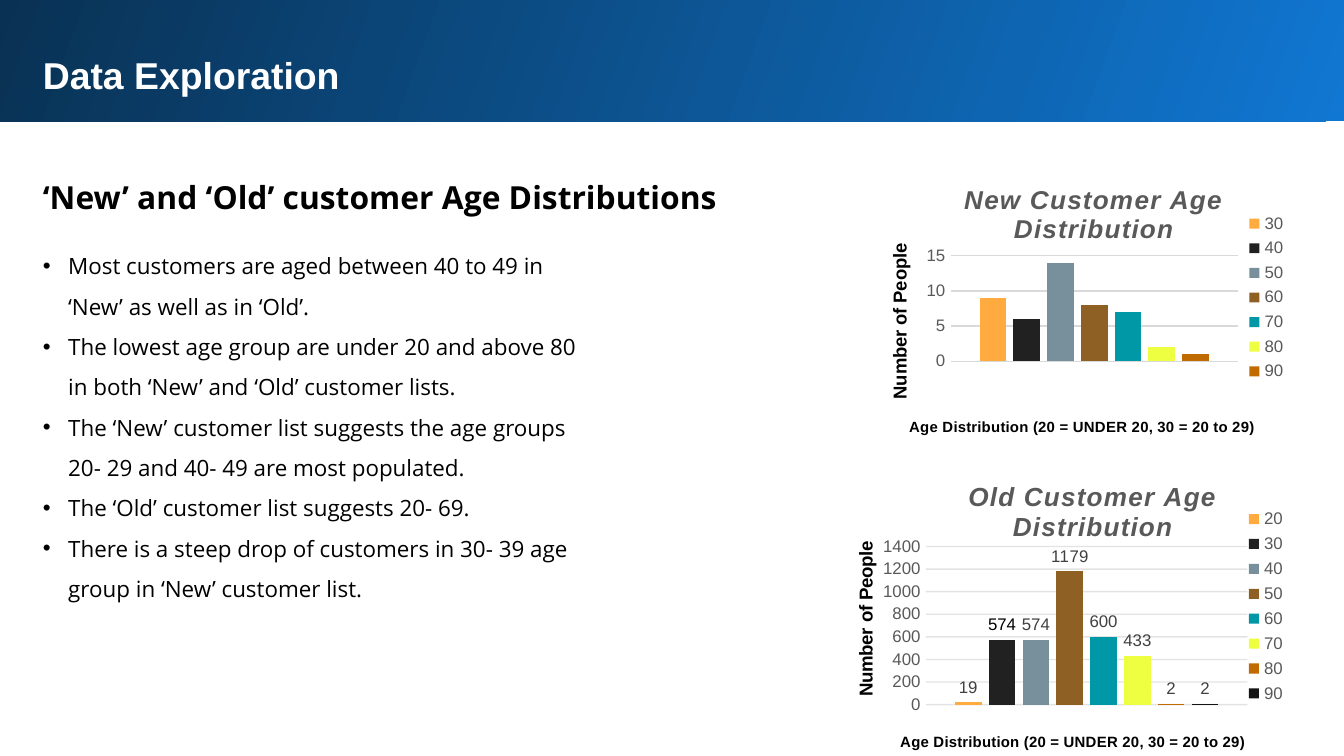
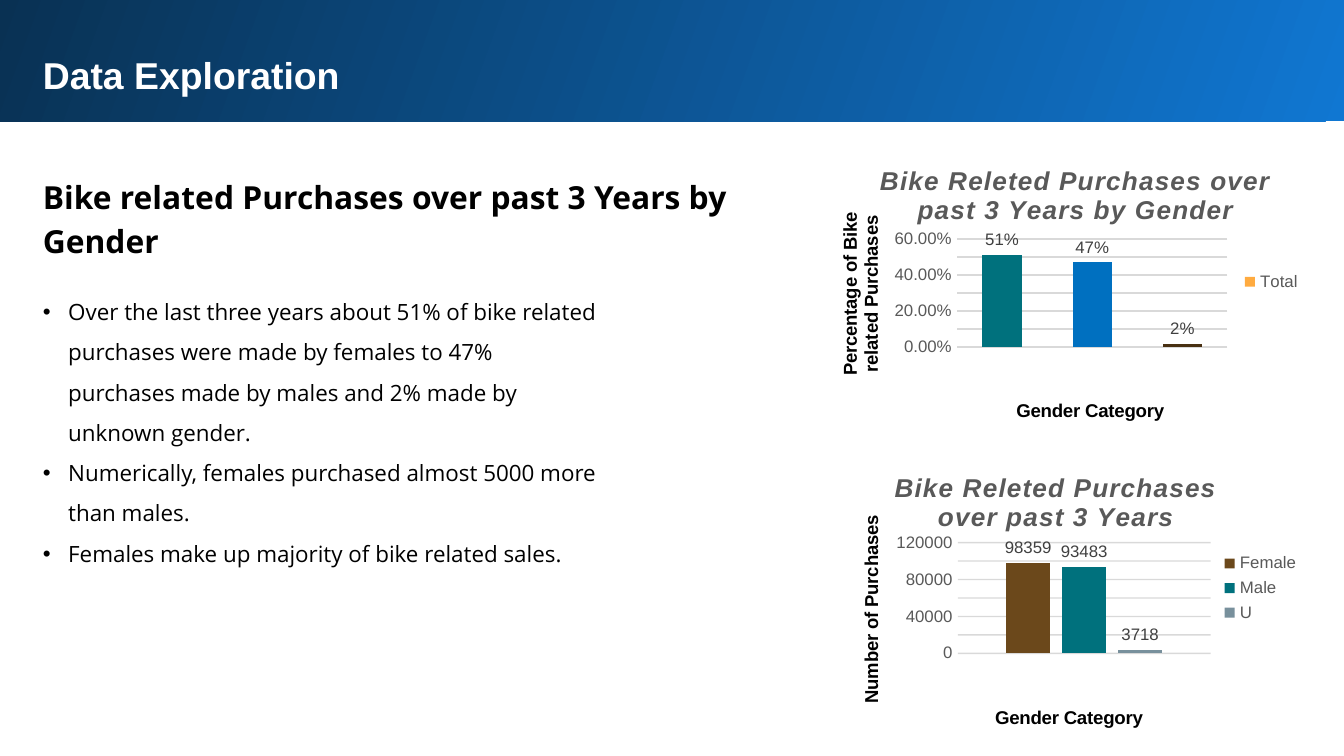
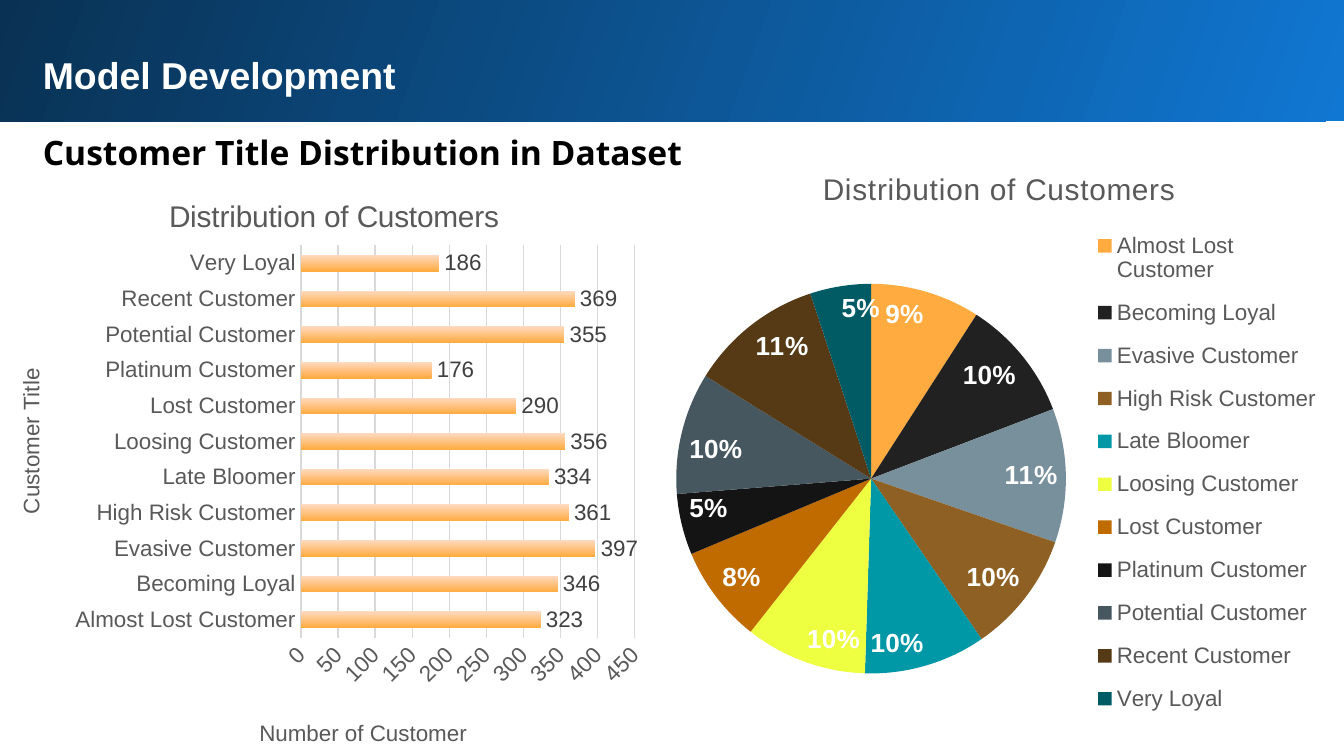
from lxml import etree
from pptx import Presentation
from pptx.chart.data import CategoryChartData
from pptx.dml.color import RGBColor
from pptx.enum import chart as ch, shapes, text
from pptx.oxml import ns
from pptx.util import Cm, Pt

WHITE = RGBColor(0xFF, 0xFF, 0xFF)
BLACK = RGBColor(0, 0, 0)
BAND_BLUE = RGBColor(0x10, 0x77, 0xD2)
BAND_NAVY = RGBColor(0x09, 0x31, 0x53)
GREY = RGBColor(0x59, 0x59, 0x59)
LABEL_GREY = RGBColor(0x40, 0x40, 0x40)
GRID_GREY = RGBColor(0xD9, 0xD9, 0xD9)
ORANGE = RGBColor(0xFF, 0xAB, 0x40)
PEACH = RGBColor(0xFF, 0xDA, 0xC0)
CHARCOAL = RGBColor(0x21, 0x21, 0x21)
SLATE = RGBColor(0x78, 0x90, 0x9C)
BROWN = RGBColor(0x8F, 0x60, 0x24)
TEAL = RGBColor(0x00, 0x97, 0xA7)
YELLOW = RGBColor(0xEE, 0xFF, 0x41)
RUST = RGBColor(0xBF, 0x6B, 0x00)
INK = RGBColor(0x14, 0x14, 0x14)
STEEL = RGBColor(0x46, 0x57, 0x60)
COCOA = RGBColor(0x56, 0x3A, 0x16)
DEEP_TEAL = RGBColor(0x00, 0x5B, 0x64)
FEMALE_TEAL = RGBColor(0x00, 0x71, 0x7D)
MALE_BLUE = RGBColor(0x00, 0x70, 0xC0)
UNKNOWN_BROWN = RGBColor(0x48, 0x30, 0x12)
UMBER = RGBColor(0x6B, 0x48, 0x1B)
PALETTE = [ORANGE, CHARCOAL, SLATE, BROWN, TEAL, YELLOW, RUST, INK, STEEL, COCOA, DEEP_TEAL]

COLUMN, BAR, PIE = (ch.XL_CHART_TYPE.COLUMN_CLUSTERED, ch.XL_CHART_TYPE.BAR_CLUSTERED,
                    ch.XL_CHART_TYPE.PIE)
OUTSIDE, INSIDE = ch.XL_LABEL_POSITION.OUTSIDE_END, ch.XL_LABEL_POSITION.INSIDE_END

TITLE_FONT = dict(name="Arial", size=Pt(20), bold=True, color=WHITE)
HEADING_FONT = dict(name="Open Sans", size=Pt(17), bold=True, color=BLACK)
BULLET_FONT = dict(name="Open Sans", size=Pt(12), bold=False, color=BLACK)
CHART_FONT = dict(name="Arial", size=Pt(10), color=BLACK)
SMALL_FONT = dict(name="Arial", size=Pt(9), color=GREY)
LARGE_FONT = dict(SMALL_FONT, size=Pt(12))
LABEL_FONT = dict(SMALL_FONT, color=LABEL_GREY)
AXIS_FONT = dict(CHART_FONT, bold=True)
AGE_FONT = dict(AXIS_FONT, size=Pt(8))
PLAIN_AXIS_FONT = dict(LARGE_FONT, bold=False)
ITALIC_TITLE = dict(name="Arial", size=Pt(14), bold=True, italic=True, color=GREY)
PLAIN_TITLE = dict(name="Arial", size=Pt(16), bold=False, color=GREY)

AGE_AXIS = "Age Distribution (20 = UNDER 20, 30 = 20 to 29)"
CUSTOMER_TITLES = ["Almost Lost Customer", "Becoming Loyal", "Evasive Customer",
                   "High Risk Customer", "Late Bloomer", "Loosing Customer", "Lost Customer",
                   "Platinum Customer", "Potential Customer", "Recent Customer", "Very Loyal"]

COLUMN_BASE = dict(kind=COLUMN, cats=["1"], gap=219, overlap=-27, title_font=ITALIC_TITLE,
                   spacing=50, tick_font=SMALL_FONT, legend=True, label_font=LABEL_FONT,
                   labels="0", position=OUTSIDE, colors=PALETTE)

SLIDES = [
    dict(
        title="Data Exploration",
        heading="‘New’ and ‘Old’ customer Age Distributions",
        heading_box=(0.56, 3, 13.51, 1.3),
        bullets=["Most customers are aged between 40 to 49 in ‘New’ as well as in ‘Old’.",
                 "The lowest age group are under 20 and above 80 in both ‘New’ and ‘Old’ customer lists.",
                 "The ‘New’ customer list suggests the age groups 20- 29 and 40- 49 are most populated.",
                 "The ‘Old’ customer list suggests 20- 69.",
                 "There is a steep drop of customers in 30- 39 age group in ‘New’ customer list."],
        bullets_box=(0.56, 4.27, 11.05, 8.76),
        charts=[
            dict(COLUMN_BASE, box=(16.21, 3, 8.36, 5.31), labels=None,
                 title=("New Customer Age Distribution", 0.23, 0.07),
                 value_title=("Number of People", 0.06, 0.3, AXIS_FONT),
                 cat_title=(AGE_AXIS, 0.11, 0.92, AGE_FONT),
                 plot=(0.21, 0.35, 0.65, 0.38), scale=(15, 5),
                 series=[("30", [9]), ("40", [6]), ("50", [14]), ("60", [8]),
                         ("70", [7]), ("80", [2]), ("90", [1])]),
            dict(COLUMN_BASE, box=(15.62, 8.64, 8.94, 5.64), grid_alpha=11,
                 title=("Old Customer Age Distribution", 0.29, 0.06),
                 value_title=("Number of People", 0.05, 0.27, AXIS_FONT),
                 cat_title=(AGE_AXIS, 0.15, 0.91, AGE_FONT),
                 plot=(0.21, 0.3, 0.68, 0.53), scale=(1400, 200),
                 label_colors={"30": BLACK},
                 series=[("20", [19]), ("30", [574]), ("40", [574]), ("50", [1179]),
                         ("60", [600]), ("70", [433]), ("80", [2]), ("90", [2])]),
        ]),
    dict(
        title="Data Exploration",
        heading="Bike related Purchases over past 3 Years by Gender",
        heading_box=(0.56, 3, 13.51, 2.13),
        bullets=["Over the last three years about 51% of bike related purchases were made by females "
                 "to 47% purchases made by males and 2% made by unknown gender.",
                 "Numerically, females purchased almost 5000 more than males.",
                 "Females make up majority of bike related sales."],
        bullets_box=(0.56, 5.13, 11.05, 6.45),
        charts=[
            dict(COLUMN_BASE, box=(15.19, 2.64, 9.65, 5.44), cats=["1", "2", "3"],
                 gap=131, overlap=-100, labels="0%", tick_format="0.00%",
                 title=("Bike Releted Purchases over past 3 Years by Gender", 0.14, 0.07),
                 value_title=("Percentage of Bike related Purchases", 0.06, 0.25, AXIS_FONT),
                 cat_title=("Gender Category", 0.41, 0.9, AXIS_FONT),
                 plot=(0.3, 0.35, 0.53, 0.38), scale=(0.6, 0.1),
                 points=[FEMALE_TEAL, MALE_BLUE, UNKNOWN_BROWN],
                 series=[("Total", [0.51, 0.47, 0.02])]),
            dict(COLUMN_BASE, box=(15.62, 8.43, 9.19, 5.44), grid_alpha=14,
                 title=("Bike Releted Purchases over past 3 Years", 0.13, 0.07),
                 value_title=("Number of Purchases", 0.06, 0.24, AXIS_FONT),
                 cat_title=("Gender Category", 0.34, 0.9, AXIS_FONT),
                 plot=(0.27, 0.34, 0.52, 0.39), scale=(120000, 20000),
                 colors=[UMBER, FEMALE_TEAL, SLATE],
                 series=[("Female", [98359]), ("Male", [93483]), ("U", [3718])]),
        ]),
    dict(
        title="Model Development",
        heading="Customer Title Distribution in Dataset",
        heading_box=(0.56, 2.13, 12.95, 1.35), heading_size=18,
        charts=[
            dict(kind=BAR, box=(0, 3.07, 12.37, 11.23), cats=CUSTOMER_TITLES, gap=115, overlap=-20,
                 title=("Distribution of Customers", 0.25, 0.05), title_font=PLAIN_TITLE,
                 value_title=("Number of Customer", 0.39, 0.93, PLAIN_AXIS_FONT),
                 cat_title=("Customer Title", 0.02, 0.34, PLAIN_AXIS_FONT),
                 plot=(0.46, 0.14, 0.51, 0.66), scale=(450, 50), tick_font=LARGE_FONT,
                 gradient=(ORANGE, PEACH), labels="0", position=OUTSIDE,
                 label_font=dict(LABEL_FONT, size=Pt(12)),
                 series=[("Series 1", [323, 346, 397, 361, 334, 356, 290, 176, 355, 369, 186])]),
            dict(kind=PIE, box=(12.4, 2.54, 12.7, 11.73), cats=CUSTOMER_TITLES,
                 title=("Distribution of Customers", 0.24, 0.05), title_font=PLAIN_TITLE, spacing=50,
                 plot=(0.03, 0.24, 0.58, 0.63), tick_font=LARGE_FONT,
                 legend=True, legend_box=(0.65, 0.13, 0.34, 0.83),
                 points=PALETTE, labels="0%", position=INSIDE,
                 label_font=dict(name="Arial", size=Pt(14), bold=True, color=WHITE),
                 series=[("Series 1", [9, 10, 11, 10, 10, 10, 8, 5, 10, 11, 5])]),
        ]),
]


def style(font, values):
    for key, value in values.items():
        if key == "color":
            font.color.rgb = value
        else:
            setattr(font, key, value)


def paint_gradient(fill, start, end, angle):
    fill.gradient()
    fill.gradient_angle = angle
    for stop, color in zip(fill.gradient_stops, (start, end)):
        stop.color.rgb = color


def add_text(slide, box, lines, font, line_spacing=None, bullet=False):
    frame = slide.shapes.add_textbox(*map(Cm, box)).text_frame
    frame.word_wrap = True
    frame.auto_size = text.MSO_AUTO_SIZE.SHAPE_TO_FIT_TEXT
    for side in ("left", "top", "right", "bottom"):
        setattr(frame, "margin_" + side, Cm(0.25))
    for i, line in enumerate(lines):
        paragraph = frame.add_paragraph() if i else frame.paragraphs[0]
        run = paragraph.add_run()
        run.text = line
        style(run.font, font)
        if line_spacing:
            paragraph.line_spacing = line_spacing
        if bullet:
            props = paragraph._p.get_or_add_pPr()
            props.set("marL", str(Cm(0.48)))
            props.set("indent", str(Cm(-0.48)))
            etree.SubElement(props, ns.qn("a:buFont"), typeface="Arial")
            etree.SubElement(props, ns.qn("a:buChar"), char="•")


def place(part, index, box, inner=False):
    for old in part.findall(ns.qn("c:layout")):
        part.remove(old)
    layout = etree.Element(ns.qn("c:layout"))
    manual = etree.SubElement(layout, ns.qn("c:manualLayout"))
    entries = [("layoutTarget", "inner")] if inner else []
    entries += [("xMode", "edge"), ("yMode", "edge"), *zip("xywh", box)]
    for tag, value in entries:
        etree.SubElement(manual, ns.qn("c:" + tag), val=str(value))
    part.insert(index, layout)


def write_title(title, words, x, y, font, spacing=0, rotation=0):
    run = title.text_frame.paragraphs[0].add_run()
    run.text = words
    style(run.font, font)
    run.font._element.set("spc", str(spacing))
    title.text_frame._txBody.bodyPr.set("rot", str(rotation * 60000))
    place(title._element, 1, (x, y))


def format_axes(chart, item):
    value, category = chart.value_axis, chart.category_axis
    horizontal = item["kind"] == BAR
    write_title(value.axis_title, *item["value_title"], rotation=0 if horizontal else -90)
    write_title(category.axis_title, *item["cat_title"], rotation=-90 if horizontal else 0)
    category.visible = horizontal
    value.minimum_scale = 0
    value.maximum_scale, value.major_unit = item["scale"]
    for axis in (value, category):
        axis.major_tick_mark = axis.minor_tick_mark = ch.XL_TICK_MARK.NONE
        style(axis.tick_labels.font, item["tick_font"])
    value.tick_labels.number_format = item.get("tick_format", "0")
    value.tick_labels.number_format_is_linked = False
    value.format.line.fill.background()
    category.format.line.color.rgb = GRID_GREY
    category.format.line.width = Pt(1)
    grid = value.major_gridlines.format.line
    grid.width = Pt(0.75)
    alpha = item.get("grid_alpha")
    grid.color.rgb = BLACK if alpha else GRID_GREY
    if alpha:
        color = value.major_gridlines._xAx.find(".//" + ns.qn("c:majorGridlines")).find(
            ".//" + ns.qn("a:srgbClr"))
        etree.SubElement(color, ns.qn("a:alpha"), val=str(alpha * 1000))
    if horizontal:
        value._element.find(ns.qn("c:txPr")).find(ns.qn("a:bodyPr")).set("rot", str(-45 * 60000))


def format_series(series, color, item):
    if "gradient" in item:
        paint_gradient(series.format.fill, *item["gradient"], 90)
    elif color:
        series.format.fill.solid()
        series.format.fill.fore_color.rgb = color
    for i, point_color in enumerate(item.get("points", [])):
        fill = series.points[i].format.fill
        fill.solid()
        fill.fore_color.rgb = point_color
    if item["labels"]:
        labels = series.data_labels
        pie = item["kind"] == PIE
        for key, value in dict(show_value=not pie, show_percentage=pie, position=item["position"],
                               number_format=item["labels"],
                               number_format_is_linked=False).items():
            setattr(labels, key, value)
        style(labels.font, item["label_font"])
        if series.name in item.get("label_colors", {}):
            labels.font.color.rgb = item["label_colors"][series.name]


def add_chart(slide, item):
    data = CategoryChartData()
    data.categories = item["cats"]
    for name, values in item["series"]:
        data.add_series(name, values)
    chart = slide.shapes.add_chart(item["kind"], *map(Cm, item["box"]), data).chart
    style(chart.font, CHART_FONT)
    chart.has_title = True
    write_title(chart.chart_title, *item["title"], item["title_font"], item.get("spacing", 0))
    plot = chart.plots[0]
    plot.vary_by_categories = item["kind"] == PIE
    if item["kind"] != PIE:
        plot.gap_width, plot.overlap = item["gap"], item["overlap"]
        format_axes(chart, item)
    colors = item.get("colors", [None])
    for series, color in zip(plot.series, colors):
        format_series(series, color, item)
    place(chart._chartSpace.chart.plotArea, 0, item["plot"], inner=True)
    chart.has_legend = item.get("legend", False)
    if chart.has_legend:
        chart.legend.position = ch.XL_LEGEND_POSITION.RIGHT
        chart.legend.include_in_layout = False
        style(chart.legend.font, item["tick_font"])
        if "legend_box" in item:
            place(chart.legend._element, 1, item["legend_box"])


def add_header(slide, title):
    band = slide.shapes.add_shape(shapes.MSO_SHAPE.RECTANGLE,
                                  *map(Cm, (-0.05, -0.05, 25.53, 2.34)))
    band.shadow.inherit = False
    band.line.fill.background()
    paint_gradient(band.fill, BAND_BLUE, BAND_NAVY, 160)
    add_text(slide, (0.56, 0.74, 23.8, 1.3), [title], TITLE_FONT)


deck = Presentation()
deck.slide_width, deck.slide_height = Cm(25.4), Cm(14.29)
for content in SLIDES:
    slide = deck.slides.add_slide(deck.slide_layouts[6])
    add_header(slide, content["title"])
    heading_font = dict(HEADING_FONT, size=Pt(content.get("heading_size", 17)))
    add_text(slide, content["heading_box"], [content["heading"]], heading_font, 1.15)
    if "bullets" in content:
        add_text(slide, content["bullets_box"], content["bullets"], BULLET_FONT, 1.5, bullet=True)
    for item in content["charts"]:
        add_chart(slide, item)
deck.save("out.pptx")
